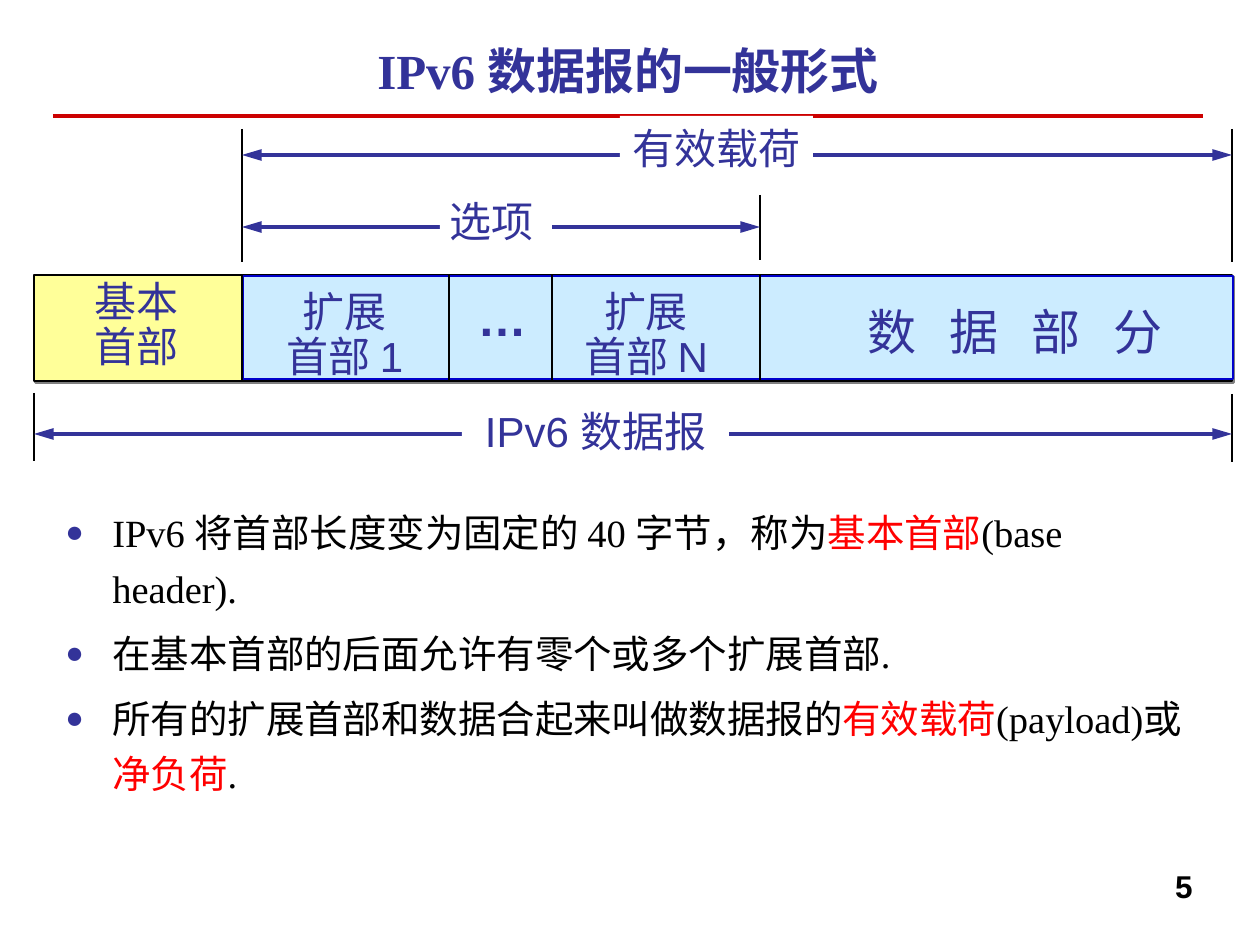
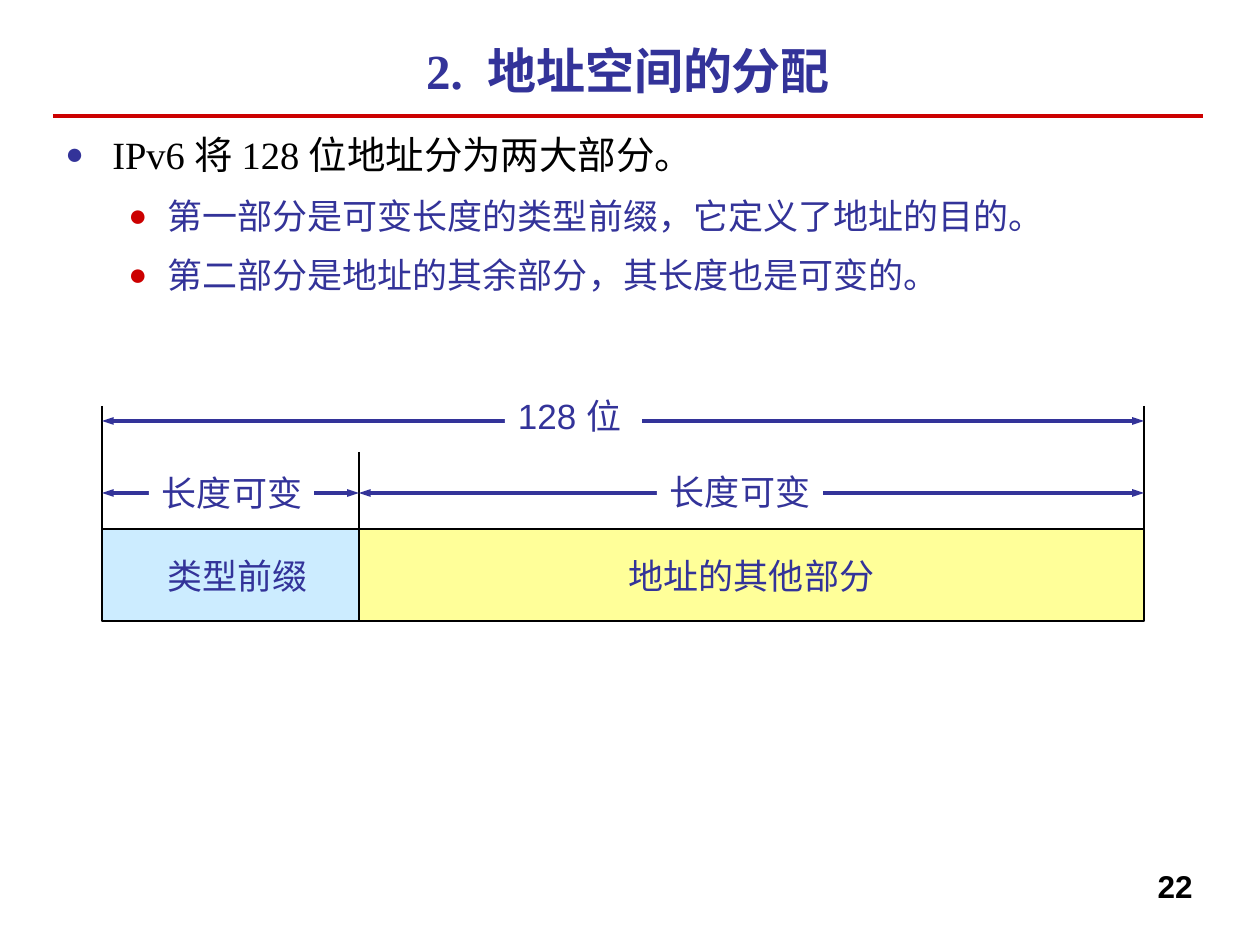
import pptx
import pptx.dml.color
import pptx.enum.shapes
import pptx.enum.text
import pptx.oxml
import pptx.oxml.ns
import pptx.util

ALIGN = pptx.enum.text.PP_ALIGN
ANCHOR = pptx.enum.text.MSO_ANCHOR
PX_PER_INCH = 126


class Theme:
    navy, red, accent = "333399", "CC0000", "FF0000"
    black, white, gray = "000000", "FFFFFF", "808080"
    yellow, sky, blue = "FFFF99", "CCECFF", "0000CC"
    serif, sans = "Times New Roman", "Arial"
    title, body, sub_body, number = 28, 22, 20, 18
    thin, frame, rule, arrow = 0.75, 1.5, 2, 2.25


# Bullet levels: size, colour, bullet colour, bullet percent, left px, hanging px, space before
LEVELS = [
    (Theme.body, Theme.black, Theme.navy, 80, 47, 47, 5.5),
    (Theme.sub_body, Theme.navy, Theme.red, 90, 102, 39, 5),
]

# Content. Runs are (text,), (text, colour) or (text, colour, letter spacing in points).
# Ticks are (x, top, bottom); arrows are (left, right, y).
# Labels are (text, left, top, width, height, left inset).
# Cells are (lines, left, top, width, height, size, bold, letter spacing).
DATAGRAM = {
    "number": "5",
    "title": [("IPv6 数据报的一般形式",)],
    "body_box": (53, 494, 1150, 368),
    "body": [
        (0, [("IPv6 将首部长度变为固定的 40 字节，称为",), ("基本首部", Theme.accent),
             ("(base header).",)]),
        (0, [("在基本首部的后面允许有零个或多个扩展首部.",)]),
        (0, [("所有的扩展首部和数据合起来叫做数据报的",), ("有效载荷", Theme.accent),
             ("(payload)或",), ("净负荷", Theme.accent), (".",)]),
    ],
    "ticks": [(x, 275, 381) for x in (242, 449, 552, 760)] + [
        (242, 129, 262), (760, 195, 260), (1232, 129, 262), (34, 393, 461), (1232, 394, 462)],
    "arrows": [(242, 760, 227), (34, 1232, 434), (242, 1232, 155)],
    "arrow_head": ("med", "lg"),
    "label_size": 24,
    "labels": [("选项", 440, 189, 112, 63, 10),
               ("IPv6 数据报", 462, 399, 267, 63, 23),
               ("有效载荷", 620, 116, 193, 63, 13)],
    "cells": [(["基本", "首部"], 37, 275, 200, 103, 24, False, 0),
              (["扩展", "首部 1"], 245, 285, 200, 103, 24, False, 0),
              (["…"], 452, 281, 100, 72, 28, True, 0),
              (["扩展", "首部 N"], 546, 285, 200, 103, 24, False, 0),
              (["数据部分"], 815, 295, 400, 72, 28, False, 18.9)],
}
ADDRESS = {
    "number": "22",
    "title": [("2.",), (" ", Theme.navy, 7), ("地址空间的分配",)],
    "body_box": (53, 116, 1150, 746),
    "body": [
        (0, [("IPv6 将 128 位地址分为两大部分。",)]),
        (1, [("第一部分是可变长度的类型前缀，它定义了地址的目的。",)]),
        (1, [("第二部分是地址的其余部分，其长度也是可变的。",)]),
    ],
    "ticks": [(102, 406, 529), (1144, 406, 529), (359, 452, 529)],
    "arrows": [(102, 359, 493), (359, 1144, 493), (102, 1144, 421)],
    "arrow_head": ("sm", "med"),
    "label_size": 20,
    "labels": [("长度可变", 149, 465, 165, 55, 13),
               ("长度可变", 657, 464, 166, 55, 13),
               ("128 位", 505, 388, 137, 55, 13)],
    "fields": [("类型前缀", 102, 271, Theme.sky), ("地址的其他部分", 359, 785, Theme.yellow)],
}


def px(value):
    return pptx.util.Inches(value / PX_PER_INCH)


def rgb(value):
    return pptx.dml.color.RGBColor.from_string(value)


def add_xml(parent, tag, **attributes):
    element = pptx.oxml.ns.qn(tag)
    child = parent.makeelement(element, {key: str(value) for key, value in attributes.items()})
    parent.append(child)
    return child


# Text
def add_run(paragraph, text, font, size, color, bold=False, spacing=0):
    run = paragraph.add_run()
    run.text = text
    run.font.name = font
    run.font.size = pptx.util.Pt(size)
    run.font.bold = bold
    run.font.color.rgb = rgb(color)
    if spacing:
        run._r.get_or_add_rPr().set("spc", str(round(spacing * 100)))


def prepare_frame(shape, anchor=ANCHOR.TOP):
    frame = shape.text_frame
    frame.word_wrap = True
    frame.vertical_anchor = anchor
    frame.margin_left = frame.margin_right = pptx.util.Inches(0.1)
    frame.margin_top = frame.margin_bottom = pptx.util.Inches(0.05)
    return frame


def add_text_box(slide, box, anchor=ANCHOR.TOP):
    return prepare_frame(slide.shapes.add_textbox(*map(px, box)), anchor)


def add_paragraph(frame, index):
    return frame.add_paragraph() if index else frame.paragraphs[0]


def add_body(slide, box, items):
    frame = add_text_box(slide, box)
    for index, (level, runs) in enumerate(items):
        size, color, bullet_color, percent, left, hanging, before = LEVELS[level]
        paragraph = add_paragraph(frame, index)
        paragraph.level = level
        paragraph.line_spacing = 1.2
        paragraph.space_before = pptx.util.Pt(before if index else 0)
        properties = paragraph._p.get_or_add_pPr()
        properties.set("marL", str(px(left)))
        properties.set("indent", str(-px(hanging)))
        add_xml(add_xml(properties, "a:buClr"), "a:srgbClr", val=bullet_color)
        add_xml(properties, "a:buSzPct", val=percent * 1000)
        add_xml(properties, "a:buFont", typeface=Theme.serif)
        add_xml(properties, "a:buChar", char="●")
        for text, *run_color in runs:
            add_run(paragraph, text, Theme.serif, size, run_color[0] if run_color else color)


# Shapes and lines
def add_box(slide, box, fill, line=None, width=Theme.thin):
    shape = slide.shapes.add_shape(pptx.enum.shapes.MSO_SHAPE.RECTANGLE, *map(px, box))
    shape.shadow.inherit = False
    shape.fill.solid()
    shape.fill.fore_color.rgb = rgb(fill)
    if line:
        shape.line.color.rgb = rgb(line)
        shape.line.width = pptx.util.Pt(width)
    else:
        shape.line.fill.background()
    return shape


def add_line(slide, start, end, color, width, head=None):
    line = slide.shapes.add_connector(
        pptx.enum.shapes.MSO_CONNECTOR.STRAIGHT, *map(px, start + end))
    line.line.color.rgb = rgb(color)
    line.line.width = pptx.util.Pt(width)
    if head:
        for tag in ("a:headEnd", "a:tailEnd"):
            add_xml(line.line._get_or_add_ln(), tag, type="triangle", w=head[0], len=head[1])
    add_xml(line._element.spPr, "a:effectLst")


# Diagram parts
def add_cell(slide, lines, left, top, width, height, size, bold, spacing):
    frame = add_text_box(slide, (left, top, width, height))
    for index, text in enumerate(lines):
        paragraph = add_paragraph(frame, index)
        paragraph.alignment = ALIGN.CENTER
        if len(lines) > 1:
            paragraph.line_spacing = 0.9
        add_run(paragraph, text, Theme.sans, size, Theme.navy, bold, spacing)


def add_measures(slide, content):
    for x, top, bottom in content["ticks"]:
        add_line(slide, (x, top), (x, bottom), Theme.black, Theme.thin)
    for left, right, y in content["arrows"]:
        add_line(slide, (left, y), (right, y), Theme.navy, Theme.arrow, content["arrow_head"])
    for text, left, top, width, height, inset in content["labels"]:
        frame = prepare_frame(add_box(slide, (left, top, width, height), Theme.white))
        frame.margin_left, frame.margin_right = px(inset), 0
        frame.paragraphs[0].alignment = ALIGN.LEFT
        add_run(frame.paragraphs[0], text, Theme.sans, content["label_size"], Theme.navy)


def add_datagram_bar(slide):
    base = add_box(slide, (34, 275, 1198, 106), Theme.yellow, Theme.black, Theme.frame)
    shadow = add_xml(base._element.spPr.find(pptx.oxml.ns.qn("a:effectLst")), "a:outerShdw",
                     dist=pptx.util.Pt(1.4), dir=45 * 60000, algn="ctr", rotWithShape=0)
    add_xml(shadow, "a:srgbClr", val=Theme.gray)
    add_box(slide, (243, 276, 990, 103), Theme.sky, Theme.blue)


def add_field(slide, text, left, width, fill):
    shape = add_box(slide, (left, 529, width, 92), fill, Theme.black)
    frame = prepare_frame(shape, ANCHOR.MIDDLE)
    frame.paragraphs[0].alignment = ALIGN.CENTER
    add_run(frame.paragraphs[0], text, Theme.sans, Theme.sub_body, Theme.navy)


# Shared slide frame: rule, title, body and number
def add_slide(presentation, content):
    slide = presentation.slides.add_slide(presentation.slide_layouts[6])
    add_line(slide, (53, 116), (1203, 116), Theme.red, Theme.rule)
    title = add_text_box(slide, (53, 31, 1150, 84), ANCHOR.MIDDLE)
    title.margin_top = 0
    title.paragraphs[0].alignment = ALIGN.CENTER
    for text, *style in content["title"]:
        color, spacing = style or (Theme.navy, 0)
        add_run(title.paragraphs[0], text, Theme.serif, Theme.title, color, True, spacing)
    add_body(slide, content["body_box"], content["body"])
    number = add_text_box(slide, (911, 861, 294, 66)).paragraphs[0]
    number.alignment = ALIGN.RIGHT
    add_run(number, content["number"], Theme.sans, Theme.number, Theme.black, True)
    return slide


def main():
    presentation = pptx.Presentation()
    presentation.slide_width, presentation.slide_height = px(1260), px(945)

    slide = add_slide(presentation, DATAGRAM)
    add_datagram_bar(slide)
    add_measures(slide, DATAGRAM)
    for cell in DATAGRAM["cells"]:
        add_cell(slide, *cell)

    slide = add_slide(presentation, ADDRESS)
    for field in ADDRESS["fields"]:
        add_field(slide, *field)
    add_measures(slide, ADDRESS)

    presentation.save("out.pptx")


if __name__ == "__main__":
    main()
